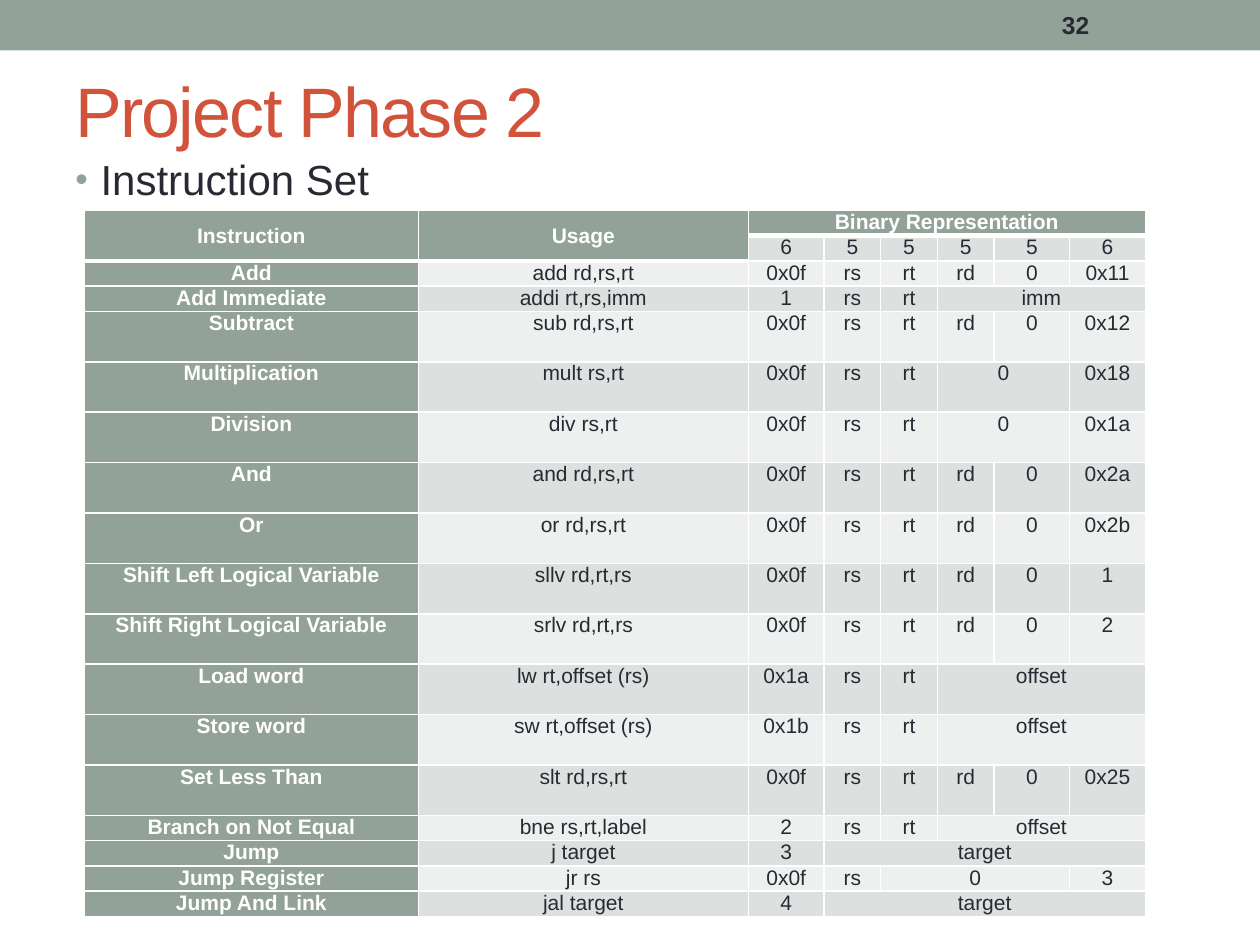
from lxml import etree
from pptx import Presentation
from pptx.dml.color import RGBColor
from pptx.enum.shapes import MSO_SHAPE as Shape
from pptx.enum.text import MSO_ANCHOR as Anchor, PP_ALIGN as Align
from pptx.oxml.ns import qn
from pptx.util import Inches, Pt

SAGE, RED, INK, WHITE = "93A299", "D2533C", "292934", "FFFFFF"
LIGHT, DARK = "EEF0EF", "DCE0DE"

COLUMNS = [2.65, 2.62, 0.6, 0.45, 0.45, 0.45, 0.6, 0.6]
ROW_HEIGHTS = [0.2, 0.19, 0.18, 0.2] + [0.4] * 10 + [0.2] * 4

# Fields split by "|"; "<" joins the cell to its left, "^" to the one above
ROWS = """\
Instruction|Usage|Binary Representation|<|<|<|<|<
^|^|6|5|5|5|5|6
Add|add rd,rs,rt|0x0f|rs|rt|rd|0|0x11
Add Immediate|addi rt,rs,imm|1|rs|rt|imm|<|<
Subtract|sub rd,rs,rt|0x0f|rs|rt|rd|0|0x12
Multiplication|mult rs,rt|0x0f|rs|rt|0|<|0x18
Division|div rs,rt|0x0f|rs|rt|0|<|0x1a
And|and rd,rs,rt|0x0f|rs|rt|rd|0|0x2a
Or|or rd,rs,rt|0x0f|rs|rt|rd|0|0x2b
Shift Left Logical Variable|sllv rd,rt,rs|0x0f|rs|rt|rd|0|1
Shift Right Logical Variable|srlv rd,rt,rs|0x0f|rs|rt|rd|0|2
Load word|lw rt,offset (rs)|0x1a|rs|rt|offset|<|<
Store word|sw rt,offset (rs)|0x1b|rs|rt|offset|<|<
Set Less Than|slt rd,rs,rt|0x0f|rs|rt|rd|0|0x25
Branch on Not Equal|bne rs,rt,label|2|rs|rt|offset|<|<
Jump|j target|3|target|<|<|<|<
Jump Register|jr rs|0x0f|rs|0|<|<|3
Jump And Link|jal target|4|target|<|<|<|<"""


def color(value):
    return RGBColor.from_string(value)


def add_child(parent, tag, **attributes):
    return etree.SubElement(parent, qn(tag), attributes)


def write(para, text, size, ink, bold=False):
    span = para.add_run()
    span.text = text
    values = {"name": "Arial", "size": Pt(size), "bold": bold}
    for name, value in values.items():
        setattr(span.font, name, value)
    span.font.color.rgb = color(ink)
    return span


def add_text(page, area, text, size, ink, bold=False, anchor=Anchor.MIDDLE):
    box = page.shapes.add_textbox(*map(Inches, area))
    frame = box.text_frame
    frame.word_wrap = True
    frame.vertical_anchor = anchor
    para = frame.paragraphs[0]
    return para, write(para, text, size, ink, bold)


def add_bullet(para):
    props = para._p.get_or_add_pPr()
    props.set("marL", str(Inches(0.2)))
    props.set("indent", str(-Inches(0.2)))
    add_child(add_child(props, "a:spcBef"), "a:spcPct", val="20000")
    add_child(add_child(props, "a:buClr"), "a:srgbClr", val=SAGE)
    add_child(props, "a:buSzPct", val="85000")
    add_child(props, "a:buFont", typeface="Arial")
    add_child(props, "a:buChar", char="\u2022")


def add_borders(cell, top, bottom):
    props = cell._tc.get_or_add_tcPr()
    for side, width in {"L": 1, "R": 1, "T": top, "B": bottom}.items():
        line = add_child(props, f"a:ln{side}", w=str(Pt(width)))
        add_child(add_child(line, "a:solidFill"), "a:srgbClr", val=WHITE)


def format_cell(cell, row, column, text):
    header = row == 0 or column < 2 and row == 1
    label = header or column == 0
    below_header = row == 2 and column < 2 or row == 1 and column >= 2
    ends_header = header and (row == 1 or column >= 2)
    add_borders(cell, 3 if below_header else 1, 3 if ends_header else 1)
    values = {"margin_left": Inches(0.07), "margin_right": Inches(0.07),
              "margin_top": 0, "margin_bottom": 0,
              "vertical_anchor": Anchor.MIDDLE if header and column < 2 else Anchor.TOP}
    for name, value in values.items():
        setattr(cell, name, value)
    cell.fill.solid()
    cell.fill.fore_color.rgb = color(SAGE if label else DARK if row % 2 else LIGHT)
    para = cell.text_frame.paragraphs[0]
    para.alignment = Align.CENTER
    if text in "<^":
        add_child(para._p, "a:endParaRPr", sz="1200")
    else:
        write(para, text, 12, WHITE if label else INK, label)


def merge_cells(table, rows):
    for r, row in enumerate(rows):
        for c, text in enumerate(row):
            if text in "<^":
                continue
            right, bottom = c, r
            while right + 1 < len(row) and row[right + 1] == "<":
                right += 1
            while bottom + 1 < len(rows) and rows[bottom + 1][c] == "^":
                bottom += 1
            if (right, bottom) != (c, r):
                table.cell(r, c).merge(table.cell(bottom, right))


def add_instruction_table(page):
    rows = [line.split("|") for line in ROWS.splitlines()]
    area = (0.67, 1.67, sum(COLUMNS), sum(ROW_HEIGHTS))
    table = page.shapes.add_table(len(rows), len(COLUMNS), *map(Inches, area)).table
    for column, width in zip(table.columns, COLUMNS):
        column.width = Inches(width)
    for row, height in zip(table.rows, ROW_HEIGHTS):
        row.height = Inches(height)
    for r, row in enumerate(rows):
        for c, text in enumerate(row):
            format_cell(table.cell(r, c), r, c, text)
    merge_cells(table, rows)


def add_top_band(page):
    band = page.shapes.add_shape(Shape.RECTANGLE, 0, 0, Inches(10), Inches(0.4))
    band.shadow.inherit = False
    band.fill.solid()
    band.fill.fore_color.rgb = color(SAGE)
    band.line.fill.background()


def main():
    deck = Presentation()
    deck.slide_width, deck.slide_height = Inches(10), Inches(7.5)
    page = deck.slides.add_slide(deck.slide_layouts[6])

    # Band, title and bullet
    add_top_band(page)
    _, title = add_text(page, (0.5, 0.33, 9, 1.08), "Project Phase 2", 40, RED)
    title.font._element.set("spc", "-100")
    para, _ = add_text(page, (0.5, 1.17, 9, 5.33), "Instruction Set", 24, INK,
                       anchor=Anchor.TOP)
    add_bullet(para)

    # Page number
    add_text(page, (8.33, 0.02, 1.17, 0.36), "32", 14, INK, bold=True)

    # Instruction set
    add_instruction_table(page)
    deck.save("out.pptx")


main()
